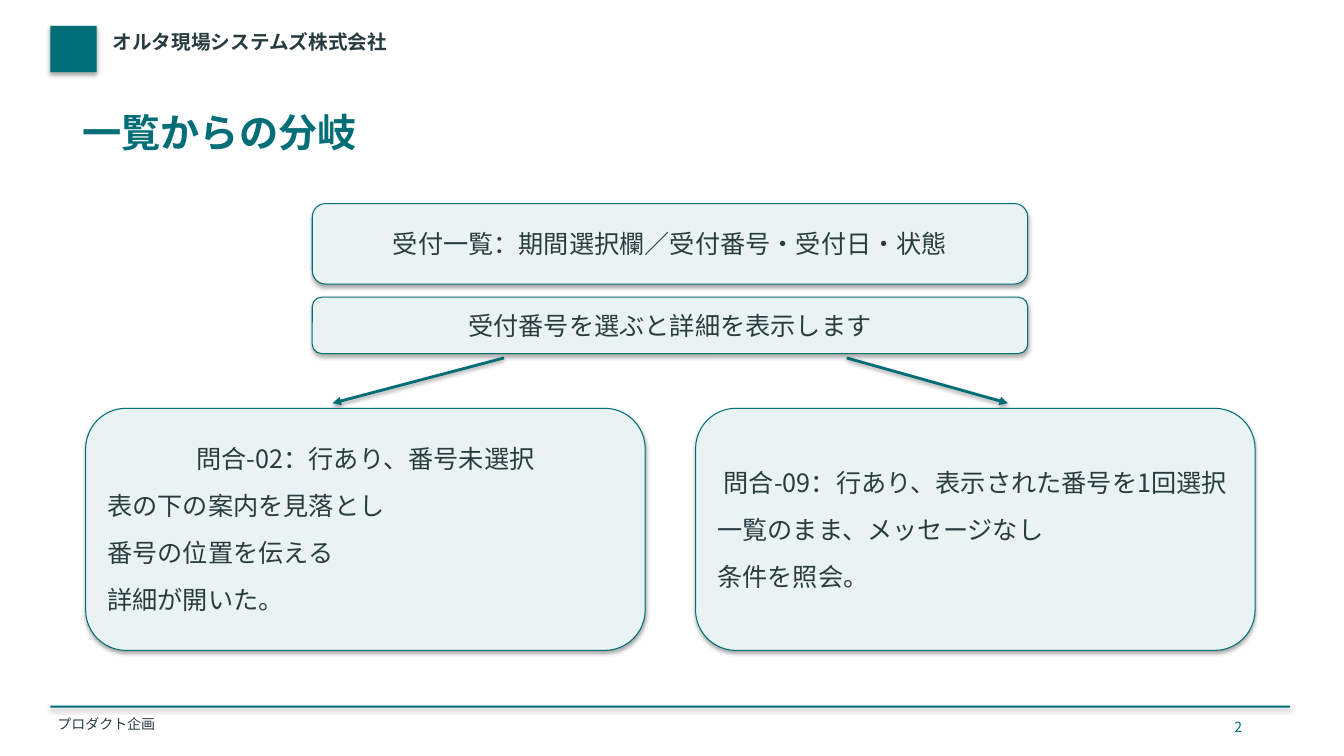
from lxml import etree
from pptx import Presentation
from pptx.dml.color import RGBColor
from pptx.enum.shapes import MSO_CONNECTOR, MSO_SHAPE
from pptx.enum.text import MSO_ANCHOR, MSO_AUTO_SIZE, PP_ALIGN
from pptx.oxml.ns import qn
from pptx.util import Cm, Pt

RECT = MSO_SHAPE.RECTANGLE
ROUNDED = MSO_SHAPE.ROUNDED_RECTANGLE
STRAIGHT = MSO_CONNECTOR.STRAIGHT
TOP, MIDDLE = MSO_ANCHOR.TOP, MSO_ANCHOR.MIDDLE
GROW = MSO_AUTO_SIZE.SHAPE_TO_FIT_TEXT
LEFT, CENTER = PP_ALIGN.LEFT, PP_ALIGN.CENTER

FONT = "Noto Sans CJK JP"
TEAL, PALE, INK = "006D77", "EAF3F3", "283C40"
INSET = 0.05


def rgb(value):
    """Turn a hex string into a colour."""
    return RGBColor.from_string(value)


def add_run(p, text, size, color, bold=False):
    """Add one formatted run to a paragraph."""
    r = p.add_run()
    r.text = text
    r.font.size = Pt(size)
    r.font.bold = bold
    r.font.color.rgb = rgb(color)
    r.font.name = FONT
    etree.SubElement(r.font._element, qn("a:ea")).set("typeface", FONT)


def fill_label(sp, text, size, color, bold=False, inset=INSET):
    """Write one left-aligned line into a text box or placeholder."""
    tf = sp.text_frame
    tf.word_wrap = True
    tf.auto_size = GROW
    tf.vertical_anchor = TOP
    if inset is not None:
        tf.margin_left = tf.margin_right = Cm(inset)
        tf.margin_top = tf.margin_bottom = Cm(inset)
    p = tf.paragraphs[0]
    p.alignment = LEFT
    add_run(p, text, size, color, bold)


def add_label(s, x, y, w, h, *style, **options):
    """Add a text box holding one line."""
    sp = s.shapes.add_textbox(Cm(x), Cm(y), Cm(w), Cm(h))
    fill_label(sp, *style, **options)


def set_title(s, text):
    """Place and format the title placeholder."""
    sp = s.shapes.title
    sp.left, sp.top, sp.width, sp.height = Cm(2.03), Cm(2.67), Cm(29.72), Cm(1.9)
    fill_label(sp, text, 28, TEAL, bold=True)


def add_block(s, x, y, w, h):
    """Add a plain teal rectangle with the theme shadow."""
    sp = s.shapes.add_shape(RECT, Cm(x), Cm(y), Cm(w), Cm(h))
    sp.fill.solid()
    sp.fill.fore_color.rgb = rgb(TEAL)
    sp.line.fill.background()


def add_card(s, x, y, w, h, heading, details=()):
    """Add a rounded card with a centred heading and left-aligned details."""
    sp = s.shapes.add_shape(ROUNDED, Cm(x), Cm(y), Cm(w), Cm(h))
    sp.fill.solid()
    sp.fill.fore_color.rgb = rgb(PALE)
    sp.line.color.rgb = rgb(TEAL)
    sp.line.width = Pt(0.75)
    tf = sp.text_frame
    tf.word_wrap = True
    tf.vertical_anchor = MIDDLE
    for i, text in enumerate((heading, *details)):
        p = tf.add_paragraph() if i else tf.paragraphs[0]
        p.alignment = LEFT if i else CENTER
        p.space_after = Pt(12)
        add_run(p, text, 18, INK)


def add_arrow(s, x1, y1, x2, y2):
    """Add a straight arrow with the theme shadow."""
    line = s.shapes.add_connector(STRAIGHT, Cm(x1), Cm(y1), Cm(x2), Cm(y2)).line
    line.color.rgb = rgb(TEAL)
    line.width = Pt(2)
    etree.SubElement(line._get_or_add_ln(), qn("a:tailEnd")).set("type", "triangle")


def main():
    """Build the slide and save it."""
    prs = Presentation()
    prs.slide_width, prs.slide_height = Cm(33.87), Cm(19.05)
    s = prs.slides.add_slide(prs.slide_layouts[5])

    add_block(s, 1.27, 0.65, 1.17, 1.17)
    add_label(s, 2.79, 0.71, 25.4, 1.02, "オルタ現場システムズ株式会社", 14, INK, bold=True)
    add_block(s, 1.27, 17.78, 31.24, 0.05)
    add_label(s, 1.4, 17.98, 22.86, 0.56, "プロダクト企画", 10, INK)
    add_label(s, 30.86, 17.98, 1.27, 0.56, "2", 10, TEAL, inset=None)
    set_title(s, "一覧からの分岐")

    steps = [
        (5.13, 2.03, "受付一覧：期間選択欄／受付番号・受付日・状態"),
        (7.49, 1.42, "受付番号を選ぶと詳細を表示します"),
    ]
    for y, h, text in steps:
        add_card(s, 7.87, y, 18.03, h, text)

    branches = [
        (2.16, 12.7, 8.38, "問合-02：行あり、番号未選択",
         ("表の下の案内を見落とし", "番号の位置を伝える", "詳細が開いた。")),
        (17.53, 21.34, 25.4, "問合-09：行あり、表示された番号を1回選択",
         ("一覧のまま、メッセージなし", "条件を照会。")),
    ]
    for x, start, end, heading, details in branches:
        add_arrow(s, start, 9.02, end, 10.16)
        add_card(s, x, 10.29, 14.1, 6.1, heading, details)

    prs.save("out.pptx")


if __name__ == "__main__":
    main()
